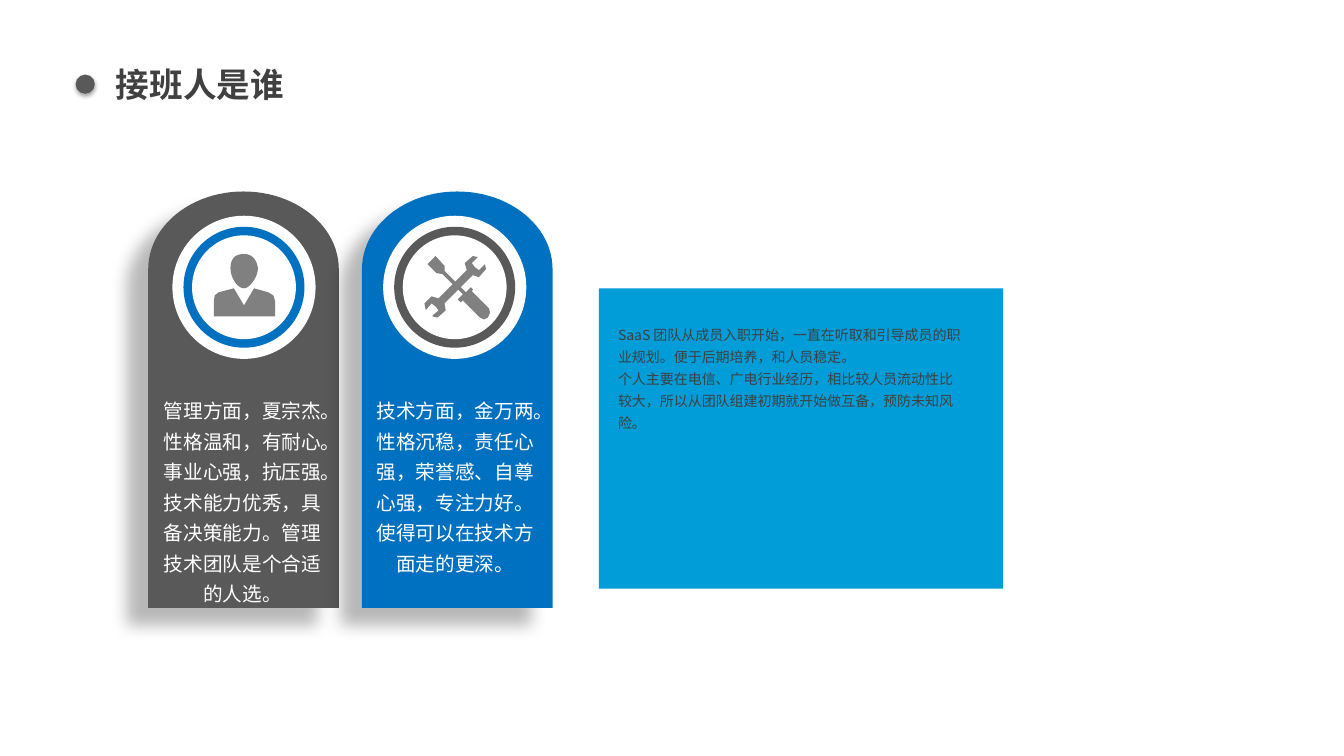
"""Build the successor slide: two profile pillars and a note panel."""
from math import cos, pi, sin

from lxml.etree import SubElement
from pptx import Presentation
from pptx.dml.color import RGBColor
from pptx.enum.shapes import MSO_SHAPE as Kind
from pptx.enum.text import MSO_ANCHOR as Anchor, PP_ALIGN as Align
from pptx.oxml.ns import qn
from pptx.util import Inches, Pt

WHITE = RGBColor(0xFF, 0xFF, 0xFF)
DARK = RGBColor(0x59, 0x59, 0x59)
BLUE = RGBColor(0x00, 0x70, 0xC0)
SKY = RGBColor(0x00, 0x9D, 0xD9)
GREY = RGBColor(0x80, 0x80, 0x80)
INK = RGBColor(0x40, 0x40, 0x40)
HAN = "Noto Sans CJK SC"


def paint(shape, color, shade=None):
    shape.fill.solid()
    shape.fill.fore_color.rgb = color
    shape.line.fill.background()
    shape.shadow.inherit = False
    if shade:
        alpha, blur, dist, angle = shade
        glow = SubElement(
            shape._element.spPr.find(qn("a:effectLst")), qn("a:outerShdw"),
            blurRad=str(Pt(blur)), dist=str(Pt(dist)),
            dir=str(angle * 60000), algn="ctr", rotWithShape="0")
        tint = SubElement(glow, qn("a:srgbClr"), val="000000")
        SubElement(tint, qn("a:alpha"), val=str(alpha * 1000))


def trace(parent, points, color, shade=None):
    spots = [(Inches(x), Inches(y)) for x, y in points]
    pen = parent.build_freeform(*spots[0])
    pen.add_line_segments(spots[1:], close=True)
    paint(pen.convert_to_shape(), color, shade)


deck = Presentation()
deck.slide_width, deck.slide_height = Inches(13.33), Inches(7.5)
slide = deck.slides.add_slide(deck.slide_layouts[5])
shapes = slide.shapes

dot = shapes.add_shape(Kind.OVAL, Inches(0.75), Inches(0.74), Inches(0.19), Inches(0.19))
paint(dot, DARK, (35, 3.1, 1.8, 90))

for left, color in ((1.47, DARK), (3.59, BLUE)):
    arch = [(left + 0.945 - 0.945 * cos(pi * i / 48), 2.67 - 0.77 * sin(pi * i / 48))
            for i in range(49)]
    trace(shapes, arch + [(left + 1.89, 6.03), (left, 6.03)], color, (28, 11.8, 19.7, 141))

for mid, color in ((2.42, BLUE), (4.51, DARK)):
    badge = shapes.add_group_shape().shapes
    for size, tone in ((1.42, WHITE), (1.2, color), (1.03, WHITE)):
        ring = badge.add_shape(Kind.OVAL, Inches(mid - size / 2), Inches(2.85 - size / 2),
                               Inches(size), Inches(size))
        paint(ring, tone)

bust = [(2.12, 2.99), (2.13, 2.93), (2.17, 2.9), (2.32, 2.86), (2.42, 3.03), (2.52, 2.86),
        (2.66, 2.9), (2.71, 2.93), (2.73, 2.99), (2.73, 3.14), (2.12, 3.14)]
curves = [
    ((2.42, 2.86), (2.38, 2.86), (2.34, 2.82), (2.32, 2.78)),
    ((2.32, 2.78), (2.29, 2.73), (2.28, 2.67), (2.29, 2.62)),
    ((2.29, 2.62), (2.3, 2.56), (2.34, 2.52), (2.42, 2.52)),
    ((2.42, 2.52), (2.49, 2.52), (2.53, 2.56), (2.55, 2.62)),
    ((2.55, 2.62), (2.57, 2.67), (2.55, 2.73), (2.52, 2.78)),
    ((2.52, 2.78), (2.49, 2.82), (2.46, 2.86), (2.42, 2.86)),
]
head = []
for a, b, c, d in curves:
    for t in (i / 8 for i in range(8)):
        u = 1 - t
        head.append(tuple(u**3 * a[k] + 3 * u * u * t * b[k] + 3 * u * t * t * c[k] + t**3 * d[k]
                          for k in (0, 1)))
wrench = [(4.81, 2.62), (4.82, 2.67), (4.75, 2.75), (4.69, 2.73), (4.41, 3.01), (4.42, 3.08),
          (4.34, 3.15), (4.29, 3.14), (4.29, 3.13), (4.35, 3.08), (4.32, 3.04), (4.28, 3.01),
          (4.23, 3.07), (4.22, 3.07), (4.21, 3.01), (4.28, 2.94), (4.35, 2.96), (4.63, 2.68),
          (4.61, 2.61), (4.69, 2.54), (4.74, 2.55), (4.68, 2.61), (4.71, 2.65), (4.75, 2.68)]
driver = [(4.41, 2.69), (4.62, 2.9), (4.67, 2.85), (4.69, 2.87), (4.68, 2.89), (4.85, 3.06),
          (4.86, 3.1), (4.84, 3.15), (4.8, 3.17), (4.76, 3.15), (4.59, 2.98), (4.57, 3),
          (4.54, 2.97), (4.59, 2.92), (4.39, 2.72), (4.33, 2.71), (4.24, 2.62), (4.32, 2.54),
          (4.41, 2.64)]
for parts in ((bust, head), (wrench, driver)):
    icon = shapes.add_group_shape().shapes
    for points in parts:
        trace(icon, points, GREY)

panel = shapes.add_shape(Kind.RECTANGLE, Inches(5.94), Inches(2.86), Inches(4.01), Inches(2.98))
paint(panel, SKY)

texts = [
    (shapes.title, (1.05, 0.58, 8.91, 0.5), (0.1, 0.05), 24, HAN, INK, Align.LEFT, 1,
     ["接班人是谁"]),
    (None, (1.46, 3.84, 1.89, 2.24), (0.11, 0.05), 14, "Arial", WHITE, Align.CENTER, 1.3,
     ["管理方面，夏宗杰。性格温和，有耐心。事业心强，抗压强。",
      "技术能力优秀，具备决策能力。管理技术团队是个合适的人选。"]),
    (None, (3.57, 3.84, 1.89, 1.94), (0.11, 0.05), 14, "Arial", WHITE, Align.CENTER, 1.3,
     ["技术方面，金万两。",
      "性格沉稳，责任心强，荣誉感、自尊心强，专注力好。使得可以在技术方面走的更深。"]),
    (None, (6.05, 3.15, 3.57, 1.39), (0.08, 0.04), 10, HAN, INK, Align.LEFT, 1.3,
     ["SaaS 团队从成员入职开始，一直在听取和引导成员的职业规划。便于后期培养，和人员稳定。",
      "个人主要在电信、广电行业经历，相比较人员流动性比较大，所以从团队组建初期就开始做互备，预防未知风险。"]),
]
for box, place, inset, size, face, color, align, space, lines in texts:
    spot = [Inches(n) for n in place]
    box = box or shapes.add_textbox(*spot)
    box.left, box.top, box.width, box.height = spot
    frame = box.text_frame
    frame.word_wrap = True
    frame.vertical_anchor = Anchor.TOP
    frame.margin_left = frame.margin_right = Inches(inset[0])
    frame.margin_top = frame.margin_bottom = Inches(inset[1])
    for i, line in enumerate(lines):
        para = frame.add_paragraph() if i else frame.paragraphs[0]
        para.alignment, para.line_spacing = align, space
        run = para.add_run()
        run.text = line
        font = run.font
        font.size, font.name, font.bold = Pt(size), face, size == 24
        font.color.rgb = color
        SubElement(font._element, qn("a:ea"), typeface=HAN)

deck.save("out.pptx")
